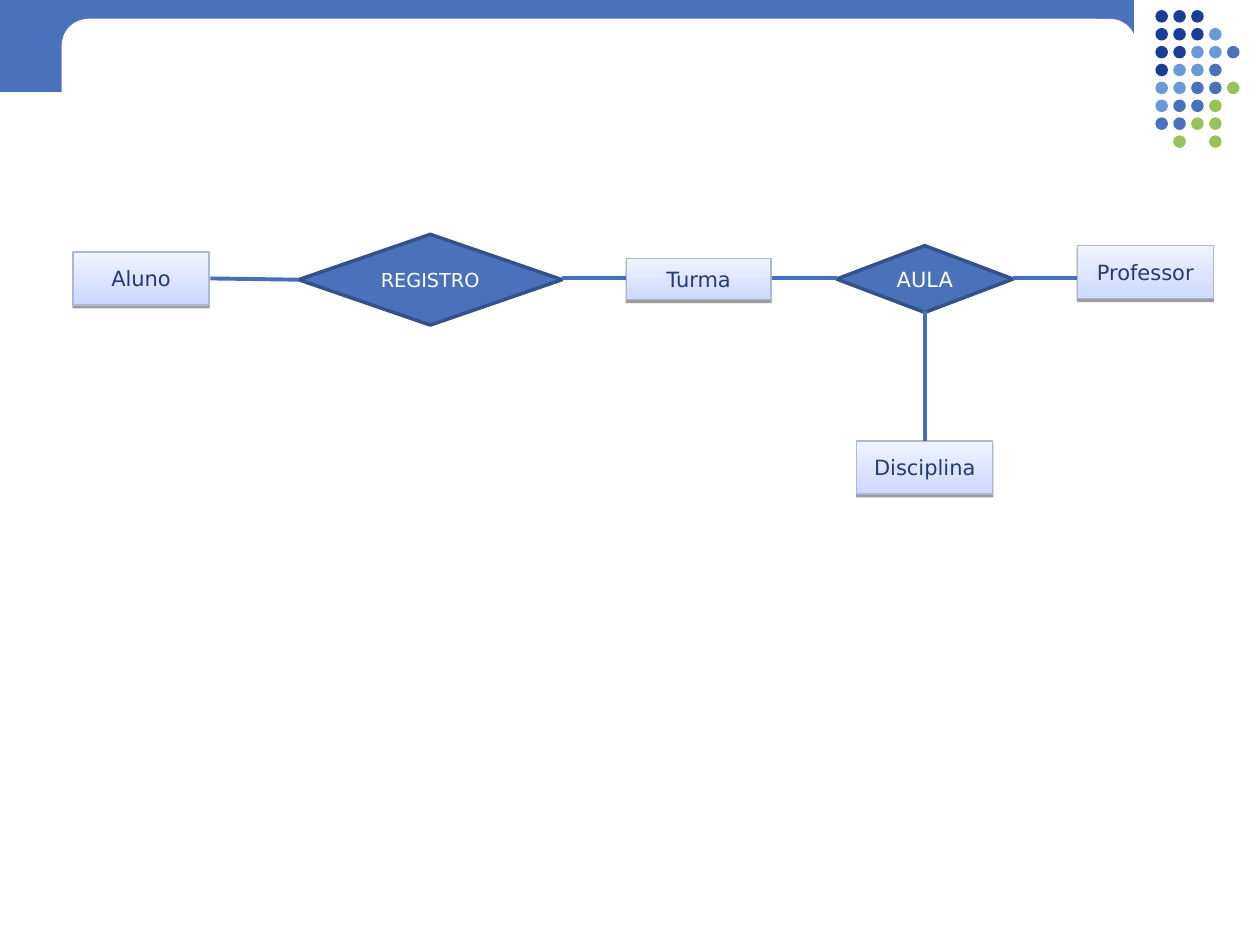
from lxml.etree import SubElement
from pptx import Presentation
from pptx.dml.color import RGBColor
from pptx.enum.shapes import MSO_CONNECTOR as Line, MSO_SHAPE as Shape
from pptx.enum.text import MSO_ANCHOR as Anchor, PP_ALIGN as Align
from pptx.oxml.ns import qn
from pptx.util import Inches, Pt

WHITE = RGBColor(0xFF, 0xFF, 0xFF)
BLUE = RGBColor(0x49, 0x72, 0xBB)
NAVY = RGBColor(0x1A, 0x3D, 0x97)
SKY = RGBColor(0x6A, 0x99, 0xD8)
GREEN = RGBColor(0x99, 0xC2, 0x5C)
INK = RGBColor(0x23, 0x38, 0x7D)
EDGE = RGBColor(0x33, 0x52, 0x89)
LINK = RGBColor(0x44, 0x6F, 0xBA)
RIM = RGBColor(0xAC, 0xB7, 0xD6)
PALE = RGBColor(0xF0, 0xF4, 0xFF)
LILAC = RGBColor(0xCC, 0xD8, 0xFE)

FONT = "DejaVu Sans"
AXIS = 2.21
HUES = {"N": NAVY, "S": SKY, "B": BLUE, "G": GREEN}
DOTS = ["NNN", "NNNS", "NNSSB", "NSSB", "SSBBG", "SBBG", "BBGG", ".G.G"]
ENTITIES = [
    ("Aluno", 0.58, 2, 1.08, 0.42),
    ("Disciplina", 6.8, 3.5, 1.08, 0.42),
    ("Professor", 8.55, 1.95, 1.08, 0.42),
    ("Turma", 4.97, 2.05, 1.15, 0.33),
]
RELATIONS = [
    ("REGISTRO", 2.37, 1.86, 2.09, 0.72, 11),
    ("AULA", 6.64, 1.95, 1.4, 0.53, 12),
]
LINKS = [
    (1.67, AXIS, 2.37, AXIS + 0.01),
    (4.46, AXIS, 4.97, AXIS),
    (6.13, AXIS, 6.64, AXIS),
    (8.04, AXIS, 8.55, AXIS),
    (7.34, 3.5, 7.34, 2.47),
]


def add_form(shapes, kind, box, fill=None, line=None, width=1):
    form = shapes.add_shape(kind, *map(Inches, box))
    form.shadow.inherit = False
    if fill is not None:
        form.fill.solid()
        form.fill.fore_color.rgb = fill
    if line is None:
        form.line.fill.background()
    else:
        form.line.color.rgb = line
        form.line.width = Pt(width)
    return form


def put_text(form, text, size=12, color=INK, wrap=True):
    frame = form.text_frame
    frame.word_wrap = wrap
    frame.vertical_anchor = Anchor.MIDDLE
    para = frame.paragraphs[0]
    para.alignment = Align.CENTER
    run = para.add_run()
    run.text = text
    run.font.name = FONT
    run.font.size = Pt(size)
    run.font.color.rgb = color


def add_shade(form):
    effects = form._element.spPr.find(qn("a:effectLst"))
    shade = SubElement(effects, qn("a:outerShdw"), blurRad="0",
                       dist=str(Pt(1.6)), dir="5400000", rotWithShape="0")
    tone = SubElement(shade, qn("a:srgbClr"), val="000000")
    SubElement(tone, qn("a:alpha"), val="38000")


def add_entity(shapes, text, *box):
    form = add_form(shapes, Shape.RECTANGLE, box, line=RIM, width=0.75)
    form.fill.gradient()
    form.fill.gradient_angle = 90
    for stop, color in zip(form.fill.gradient_stops, (LILAC, PALE)):
        stop.color.rgb = color
    add_shade(form)
    put_text(form, text, wrap=False)


def add_relation(shapes, text, left, top, width, height, size):
    form = add_form(shapes, Shape.DIAMOND, (left, top, width, height),
                    BLUE, EDGE, 2)
    put_text(form, text, size=size, color=WHITE)


def add_link(shapes, *ends):
    link = shapes.add_connector(Line.STRAIGHT, *map(Inches, ends))
    link.line.color.rgb = LINK
    link.line.width = Pt(2.25)
    SubElement(link._element.spPr, qn("a:effectLst"))


def add_dots(shapes, left=9.17, top=0.08, step=0.142, size=0.1):
    group = shapes.add_group_shape()
    for row, line in enumerate(DOTS):
        for col, key in enumerate(line):
            if key in HUES:
                box = (left + col * step, top + row * step, size, size)
                add_form(group.shapes, Shape.OVAL, box, HUES[key])


def add_frame(shapes):
    add_form(shapes, Shape.RECTANGLE, (0, -0.03, 9, 0.76), BLUE)
    add_dots(shapes)
    panel = add_form(shapes, Shape.ROUNDED_RECTANGLE,
                     (0.51, 0.17, 8.49, 1.16), WHITE, WHITE, 3)
    panel.adjustments[0] = 0.167


def main():
    deck = Presentation()
    deck.slide_width, deck.slide_height = Inches(10), Inches(7.5)
    shapes = deck.slides.add_slide(deck.slide_layouts[6]).shapes
    add_frame(shapes)
    for item in ENTITIES:
        add_entity(shapes, *item)
    for item in RELATIONS:
        add_relation(shapes, *item)
    for ends in LINKS:
        add_link(shapes, *ends)
    deck.save("out.pptx")


if __name__ == "__main__":
    main()
